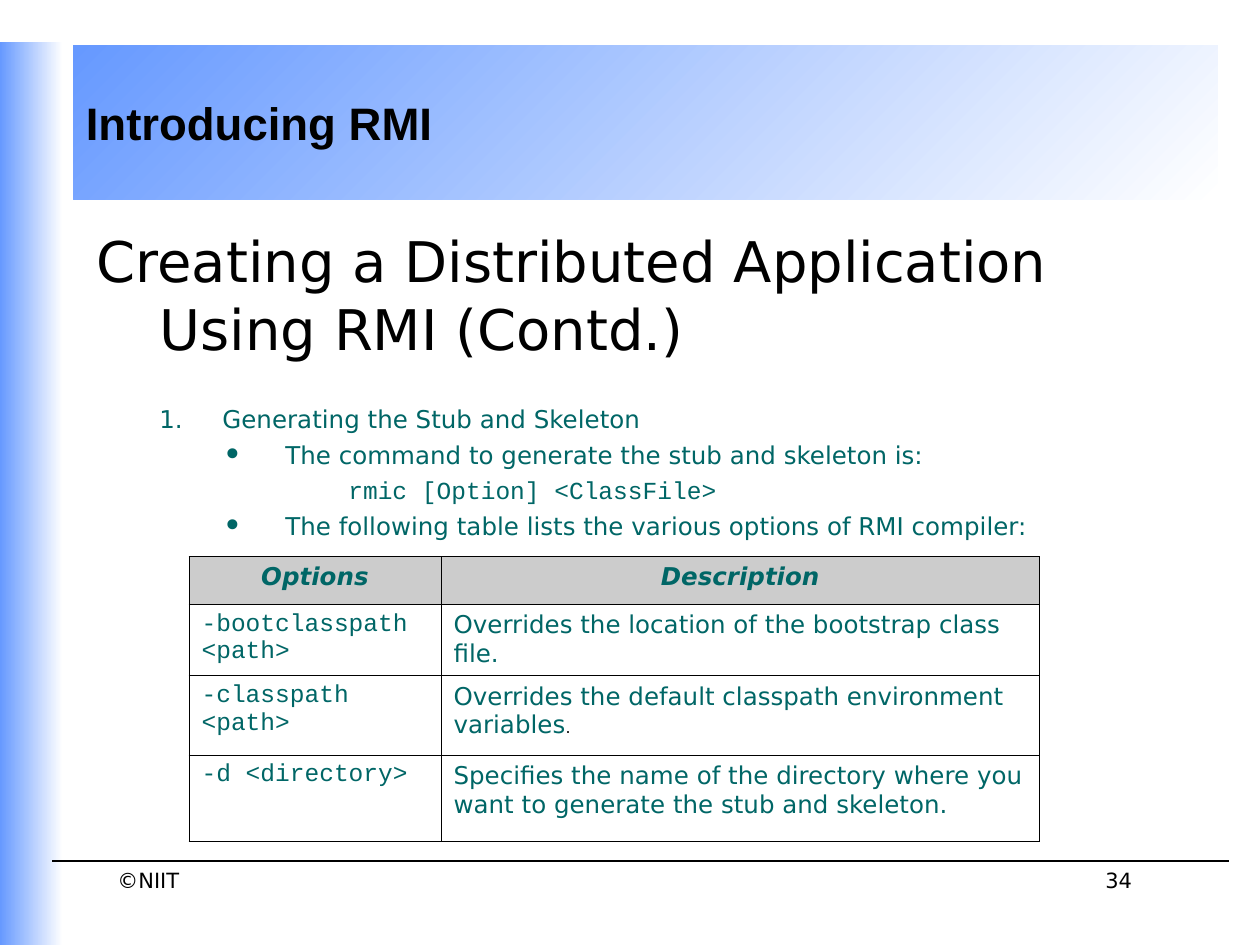
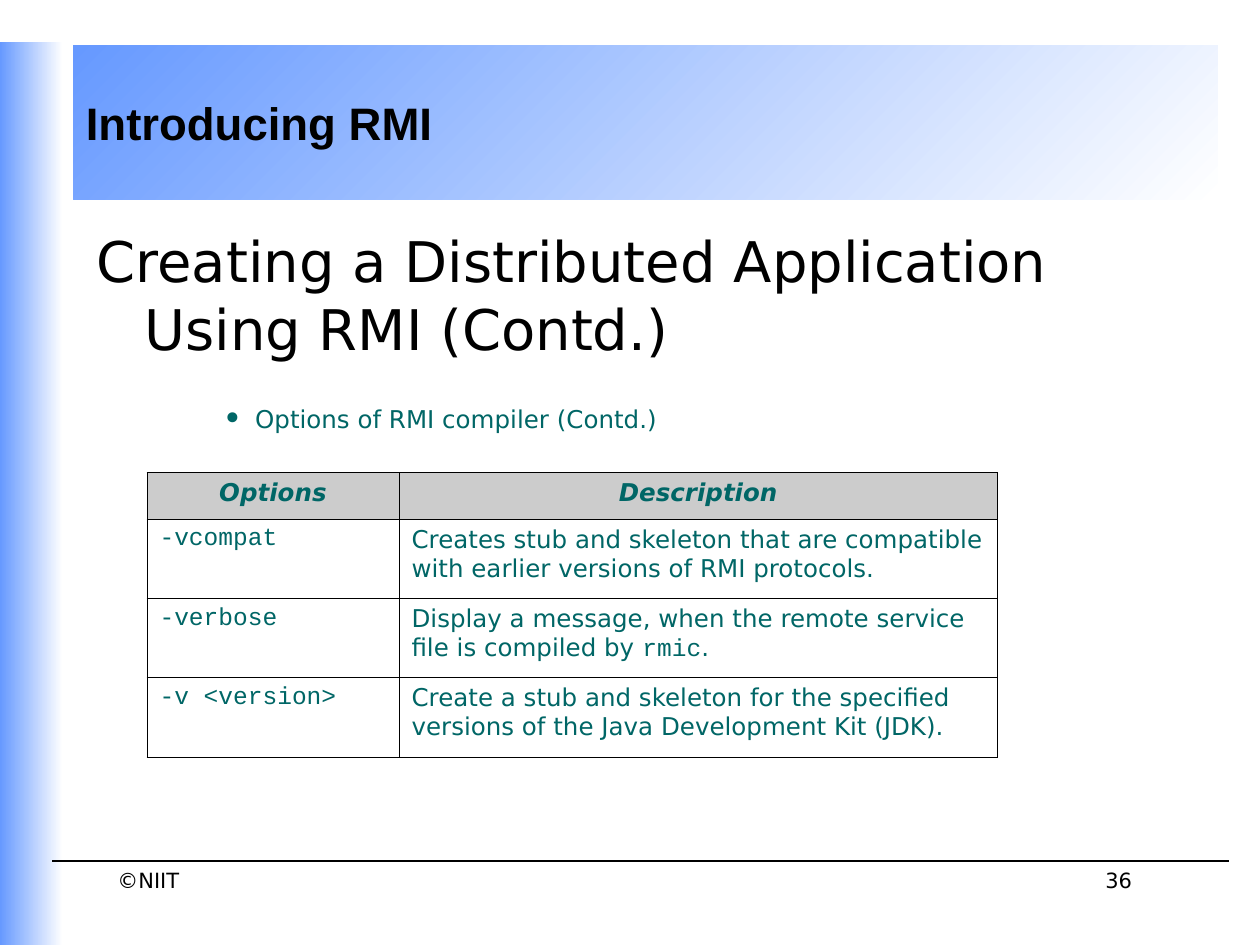
from lxml.etree import SubElement
from pptx import Presentation
from pptx.dml.color import RGBColor as Rgb
from pptx.enum.shapes import MSO_CONNECTOR as Connector, MSO_SHAPE as Shape
from pptx.enum.text import MSO_ANCHOR as Anchor, MSO_AUTO_SIZE as Fit, PP_ALIGN as Align
from pptx.oxml.ns import qn
from pptx.util import Inches, Pt

COLORS = {"black": "000000", "teal": "006666", "blue": "6699FF", "white": "FFFFFF", "grey": "CCCCCC"}
SANS, MONO = "DejaVu Sans", "Courier New"
FORMATS = {
    "band": ("black", {"name": "Arial", "size": Pt(26), "bold": True}),
    "title": ("black", {"name": SANS, "size": Pt(32)}),
    "footer": ("black", {"name": SANS, "size": Pt(12)}),
    "text": ("teal", {"name": SANS, "size": Pt(14)}),
    "code": ("teal", {"name": MONO, "size": Pt(14)}),
    "heading": ("teal", {"name": SANS, "size": Pt(14), "bold": True, "italic": True}),
    "small": ("black", {"name": SANS, "size": Pt(9)}),
}
COLUMNS, ROWS = 120, 90
CELL = Inches(10) / COLUMNS

PAGES = [
    {
        "number": "34",
        "title_hang": 0.5,
        "points": [
            (1, 0.5, "number", "text", "Generating the Stub and Skeleton"),
            (1.5, 0.5, "dot", "text", "The command to generate the stub and skeleton is:"),
            (2, 0, None, "code", "rmic [Option] <ClassFile>"),
            (1.5, 0.5, "dot", "text", "The following table lists the various options of RMI compiler:"),
        ],
        "table_at": (18, 53),
        "row_heights": (0.38, 0.54, 0.63, 0.68),
        "options": [
            ("-bootclasspath <path>", [("text", "Overrides the location of the bootstrap class file.")]),
            ("-classpath <path>", [("text", "Overrides the default classpath environment variables"), ("small", ".")]),
            ("-d <directory>", [("text", "Specifies the name of the directory where you want to generate the stub and skeleton.")]),
        ],
    },
    {
        "number": "36",
        "title_hang": 0.38,
        "points": [(1.26, 0.26, "dot", "text", "Options of RMI compiler (Contd.)")],
        "table_at": (14, 45),
        "row_heights": (0.37, 0.63, 0.63, 0.63),
        "options": [
            ("-vcompat", [("text", "Creates stub and skeleton that are compatible with earlier versions of RMI protocols.")]),
            ("-verbose", [("text", "Display a message, when the remote service file is compiled by "), ("code", "rmic"), ("text", ".")]),
            ("-v <version>", [("text", "Create a stub and skeleton for the specified versions of the Java Development Kit (JDK).")]),
        ],
    },
]


def grid(*cells):
    return [round(cell * CELL) for cell in cells]


def write(para, spans, align=Align.LEFT):
    para.alignment = align
    for style, text in spans:
        span = para.add_run()
        span.text = text
        color, values = FORMATS[style]
        span.font.color.rgb = Rgb.from_string(COLORS[color])
        for key, value in values.items():
            setattr(span.font, key, value)


deck = Presentation()
deck.slide_width, deck.slide_height = grid(COLUMNS, ROWS)

for content in PAGES:
    page = deck.slides.add_slide(deck.slide_layouts[5])

    for area, angle, label in [
        ((7, 4.33, 109, 14.64), 135, "Introducing RMI"),
        ((0, 4, 6, 86), 180, None),
    ]:
        band = page.shapes.add_shape(Shape.RECTANGLE, *grid(*area))
        band.shadow.inherit = False
        band.line.fill.background()
        band.fill.gradient()
        band.fill.gradient_angle = angle
        for stop, color in zip(band.fill.gradient_stops, ("white", "blue")):
            stop.color.rgb = Rgb.from_string(COLORS[color])
        if label:
            band.text_frame.word_wrap = False
            band.text_frame.vertical_anchor = Anchor.MIDDLE
            write(band.text_frame.paragraphs[0], [("band", label)])

    title = page.shapes.title
    title.left, title.top, title.width, title.height = grid(8, 21, 106, 15)
    for key, value in {"word_wrap": True, "auto_size": Fit.NONE, "vertical_anchor": Anchor.TOP}.items():
        setattr(title.text_frame, key, value)
    para = title.text_frame.paragraphs[0]
    write(para, [("title", "Creating a Distributed Application Using RMI (Contd.)")])
    hang = Inches(content["title_hang"])
    para._p.get_or_add_pPr().set("marL", str(hang))
    para._p.get_or_add_pPr().set("indent", str(-hang))

    box = page.shapes.add_textbox(*grid(8, 37.9, 106, 15))
    box.text_frame.word_wrap = True
    for index, (margin, hang, bullet, style, text) in enumerate(content["points"]):
        para = box.text_frame.add_paragraph() if index else box.text_frame.paragraphs[0]
        props = para._p.get_or_add_pPr()
        props.set("marL", str(Inches(margin)))
        props.set("indent", str(-Inches(hang)))
        if bullet:
            SubElement(SubElement(props, qn("a:buClr")), qn("a:srgbClr"), val=COLORS["teal"])
        if bullet == "number":
            SubElement(props, qn("a:buFont"), typeface=SANS)
            SubElement(props, qn("a:buAutoNum"), type="arabicPeriod")
        elif bullet == "dot":
            SubElement(props, qn("a:buSzPct"), val="140000")
            SubElement(props, qn("a:buFont"), typeface=SANS)
            SubElement(props, qn("a:buChar"), char="•")
        if index:
            para.space_before = Pt(3.5)
        write(para, [(style, text)])

    rule = page.shapes.add_connector(Connector.STRAIGHT, *grid(5, 82, 117, 82))
    rule.line.color.rgb = Rgb.from_string(COLORS["black"])
    rule.line.width = Pt(0.75)
    SubElement(rule._element.spPr, qn("a:effectLst"))

    heights = [Inches(height) for height in content["row_heights"]]
    frame = page.shapes.add_table(len(heights), 2, *grid(*content["table_at"], 81), sum(heights))
    table = frame.table
    for row, height in zip(table.rows, heights):
        row.height = height
    for column, width in zip(table.columns, grid(24, 57)):
        column.width = width
    rows = [([("heading", "Options")], [("heading", "Description")])]
    rows += [([("code", option)], description) for option, description in content["options"]]
    for r, row in enumerate(rows):
        for c, spans in enumerate(row):
            cell = table.cell(r, c)
            write(cell.text_frame.paragraphs[0], spans, Align.LEFT if r else Align.CENTER)
            for side in ("L", "R", "T", "B"):
                edge = SubElement(cell._tc.get_or_add_tcPr(), qn(f"a:ln{side}"), w=str(Pt(0.45)))
                SubElement(SubElement(edge, qn("a:solidFill")), qn("a:srgbClr"), val=COLORS["black"])
            if r:
                cell.fill.background()
            else:
                cell.fill.solid()
                cell.fill.fore_color.rgb = Rgb.from_string(COLORS["grey"])

    for area, text, align in [
        ((10, 82, 27, 5), "©NIIT", Align.LEFT),
        ((80, 82, 29, 6), content["number"], Align.RIGHT),
    ]:
        footer = page.shapes.add_textbox(*grid(*area))
        footer.text_frame.word_wrap = True
        write(footer.text_frame.paragraphs[0], [("footer", text)], align)

deck.save("out.pptx")
